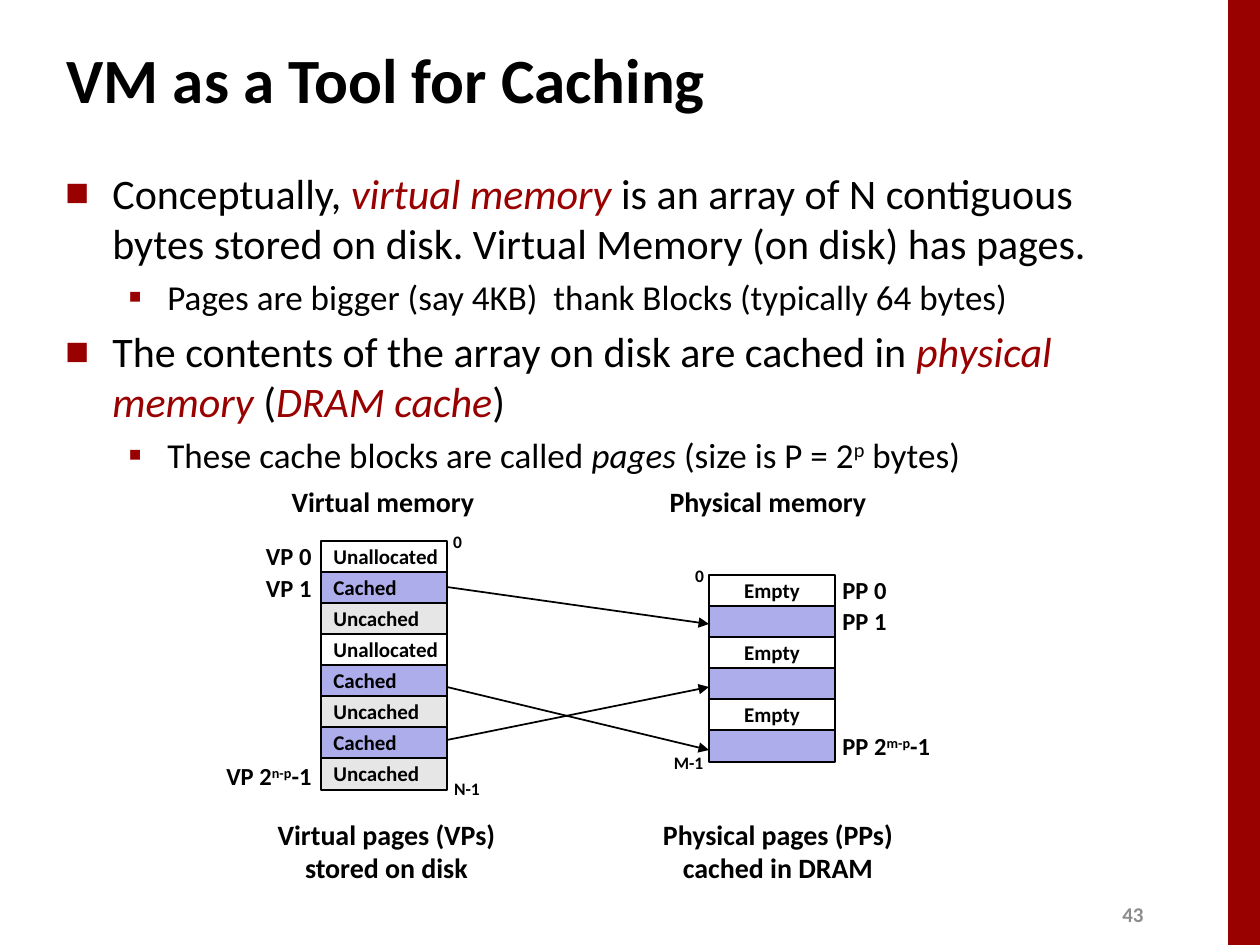
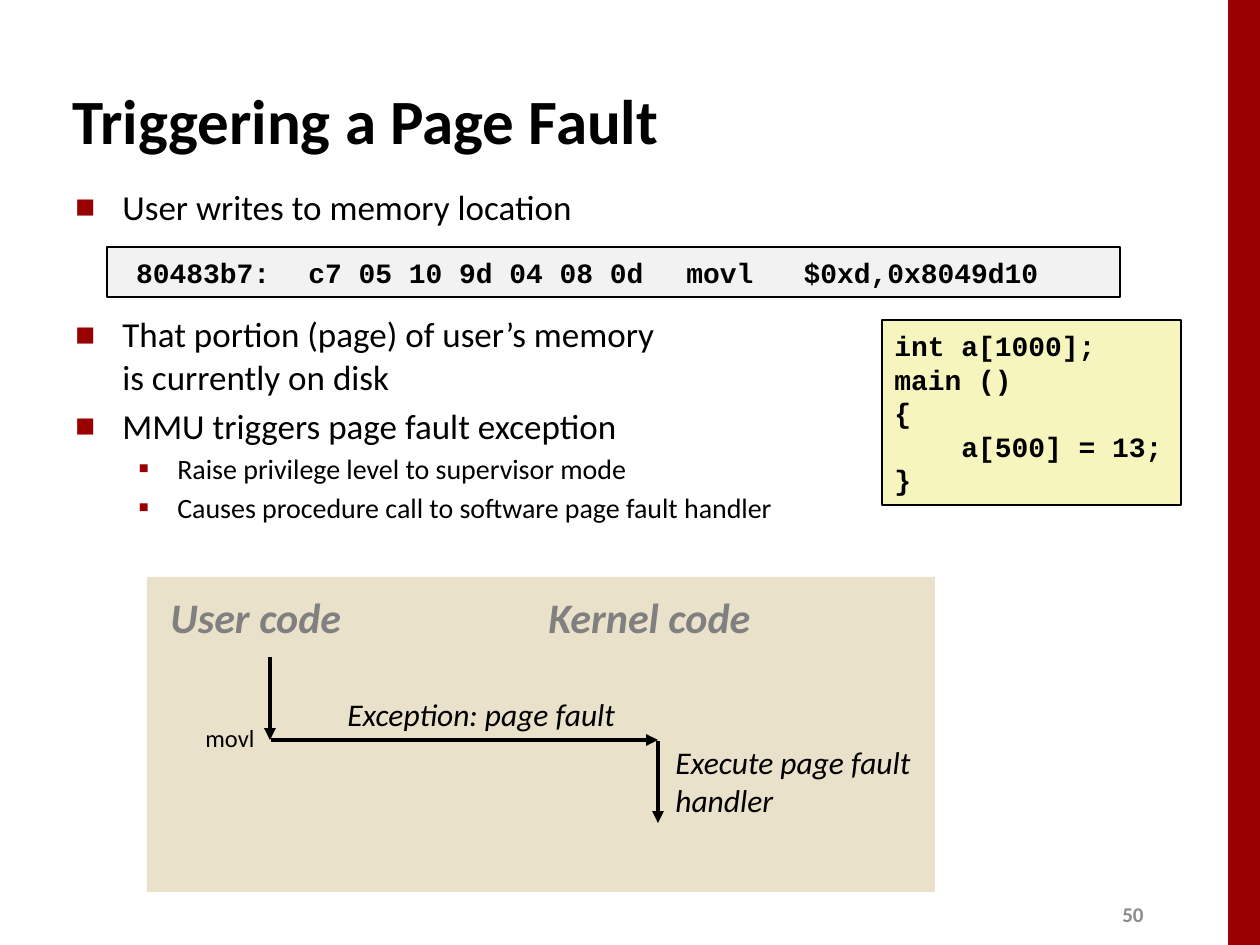
"""Build two lecture slides on virtual memory and page faults."""
from dataclasses import dataclass
from typing import NamedTuple

from lxml.etree import SubElement
from pptx import Presentation
from pptx.dml.color import RGBColor
from pptx.enum.shapes import MSO_CONNECTOR, MSO_SHAPE
from pptx.enum.text import MSO_ANCHOR, MSO_AUTO_SIZE, PP_ALIGN
from pptx.oxml.ns import qn
from pptx.util import Emu, Inches, Pt

SLIDE_W, SLIDE_H = 1260, 945
SCALE = Inches(10) / SLIDE_W
BODY_FONT, CODE_FONT = "Calibri", "Courier New"
COLORS = {
    "black": "000000", "white": "FFFFFF", "red": "990000", "number": "8C8C8C",
    "cached": "ADADEB", "uncached": "E6E6E6", "code": "F6F5BD",
    "assembly": "F2F2F2", "panel": "E9E1C9", "heading": "808080",
}
LEFT, CENTER, RIGHT = PP_ALIGN.LEFT, PP_ALIGN.CENTER, PP_ALIGN.RIGHT
TOP, MIDDLE = MSO_ANCHOR.TOP, MSO_ANCHOR.MIDDLE


class Style(NamedTuple):
    """Character formatting."""
    size: int
    bold: bool = False
    italic: bool = False
    color: str = "black"
    font: str = BODY_FONT


class Span(NamedTuple):
    """A piece of a paragraph that may differ from its base style."""
    text: str
    color: str = ""
    italic: bool = False
    superscript: bool = False


Text = str | tuple[Span, ...]


class BulletLevel(NamedTuple):
    """Look of one bullet level, with its indents in px."""
    char: str
    percent: int
    margin: int
    hang: int


LEVELS = (BulletLevel("■", 60, 47, 47), BulletLevel("▪", 110, 102, 39))


@dataclass(frozen=True)
class Bullet:
    """A bulleted paragraph; before is the space above it in points."""
    text: Text
    size: int
    level: int = 0
    before: float | None = None


@dataclass(frozen=True)
class Label:
    """A text box in px."""
    x: int
    y: int
    w: int
    h: int
    text: Text
    style: Style
    align: PP_ALIGN = LEFT
    anchor: MSO_ANCHOR = TOP
    spacing: float = 1.0
    wrap: bool = False


@dataclass(frozen=True)
class Box:
    """A filled rectangle in px; a line width of 0 means no outline."""
    x: int
    y: int
    w: int
    h: int
    fill: str
    line: float = 0
    text: str = ""
    style: Style = Style(12, bold=True)
    align: PP_ALIGN = LEFT
    spacing: float = 1.0


class Arrow(NamedTuple):
    """An arrow from one point to another in px."""
    x1: int
    y1: int
    x2: int
    y2: int
    width: float


def px(n: float) -> Emu:
    """Turn px into EMU."""
    return Emu(round(n * SCALE))


def rgb(name: str) -> RGBColor:
    """Look up a colour."""
    return RGBColor.from_string(COLORS[name])


def write(p, text: Text, style: Style) -> None:
    """Put text into a paragraph and format its runs."""
    spans = (Span(text),) if isinstance(text, str) else text
    if isinstance(text, str):
        p.text = text
    else:
        for span in spans:
            p.add_run().text = span.text
    for i, r in enumerate(p.runs):
        span = spans[min(i, len(spans) - 1)]
        r.font.name, r.font.size = style.font, Pt(style.size)
        r.font.bold, r.font.italic = style.bold, style.italic or span.italic
        r.font.color.rgb = rgb(span.color or style.color)
        if span.superscript:
            r._r.get_or_add_rPr().set("baseline", "30000")


def write_lines(tf, text: Text, style: Style, align: PP_ALIGN, spacing: float) -> None:
    """Fill a text frame, one paragraph per line."""
    lines = text.split("\n") if isinstance(text, str) else [text]
    for i, line in enumerate(lines):
        p = tf.add_paragraph() if i else tf.paragraphs[0]
        p.alignment, p.line_spacing = align, spacing
        write(p, line, style)


def add_label(s, label: Label) -> None:
    """Draw a text box."""
    tf = s.shapes.add_textbox(*map(px, (label.x, label.y, label.w, label.h))).text_frame
    tf.word_wrap, tf.vertical_anchor = label.wrap, label.anchor
    tf.auto_size = MSO_AUTO_SIZE.NONE if label.wrap else MSO_AUTO_SIZE.SHAPE_TO_FIT_TEXT
    write_lines(tf, label.text, label.style, label.align, label.spacing)


def add_box(s, box: Box) -> None:
    """Draw a rectangle with optional text."""
    sp = s.shapes.add_shape(MSO_SHAPE.RECTANGLE, *map(px, (box.x, box.y, box.w, box.h)))
    sp.shadow.inherit = False
    sp.fill.solid()
    sp.fill.fore_color.rgb = rgb(box.fill)
    if box.line:
        sp.line.color.rgb, sp.line.width = rgb("black"), Pt(box.line)
    else:
        sp.line.fill.background()
    if box.text:
        tf = sp.text_frame
        tf.word_wrap, tf.vertical_anchor = False, MIDDLE
        write_lines(tf, box.text, box.style, box.align, box.spacing)


def add_arrow(s, arrow: Arrow) -> None:
    """Draw a straight arrow."""
    c = s.shapes.add_connector(MSO_CONNECTOR.STRAIGHT, *map(px, arrow[:4]))
    c.line.color.rgb, c.line.width = rgb("black"), Pt(arrow.width)
    SubElement(c.line._get_or_add_ln(), qn("a:tailEnd"), type="triangle")
    SubElement(c._element.spPr, qn("a:effectLst"))


def set_bullet(p, level: BulletLevel) -> None:
    """Give a paragraph its bullet and hanging indent."""
    pPr = p._p.get_or_add_pPr()
    pPr.set("marL", str(px(level.margin)))
    pPr.set("indent", str(-px(level.hang)))
    SubElement(SubElement(pPr, qn("a:buClr")), qn("a:srgbClr"), val=COLORS["red"])
    SubElement(pPr, qn("a:buSzPct"), val=str(level.percent * 1000))
    SubElement(pPr, qn("a:buFont"), typeface=BODY_FONT)
    SubElement(pPr, qn("a:buChar"), char=level.char)


def add_bullets(s, x: int, y: int, w: int, h: int, bullets: list[Bullet]) -> None:
    """Draw the bulleted body text."""
    tf = s.shapes.add_textbox(*map(px, (x, y, w, h))).text_frame
    tf.word_wrap = True
    for i, b in enumerate(bullets):
        p = tf.add_paragraph() if i else tf.paragraphs[0]
        set_bullet(p, LEVELS[b.level])
        if i:
            p.space_before = Pt(b.size * 0.2 if b.before is None else b.before)
        write(p, b.text, Style(b.size))


def add_slide(prs, number: int, title: str, x: int, y: int, h: int):
    """Start a slide with the side band, page number and title."""
    s = prs.slides.add_slide(prs.slide_layouts[6])
    add_box(s, Box(1228, 0, 32, SLIDE_H, "red"))
    add_label(s, Label(1110, 895, 50, 38, str(number), Style(12, bold=True, color="number"),
                       anchor=MIDDLE))
    add_label(s, Label(x, y, 1087, h, title, Style(36, bold=True), anchor=MIDDLE, wrap=True))
    return s


def add_pages(s, x: int, y: int, pages: list[str], align: PP_ALIGN) -> None:
    """Draw a column of memory pages; an unnamed page holds cached data."""
    fills = {"": "cached", "Cached": "cached", "Uncached": "uncached"}
    for i, page in enumerate(pages):
        add_box(s, Box(x, y + 31 * i, 126, 32, fills.get(page, "white"), 1.5, page,
                       align=align, spacing=0.98))


def build_caching(prs) -> None:
    """Build the slide on virtual memory as a cache."""
    s = add_slide(prs, 43, "VM as a Tool for Caching", 54, 26, 105)
    add_bullets(s, 53, 161, 1089, 285, [
        Bullet((Span("Conceptually,"), Span(" virtual memory ", "red", True),
                Span("is an array of N contiguous bytes stored on disk. "
                     "Virtual Memory (on disk) has pages.")), 24),
        Bullet("Pages are bigger (say 4KB)  thank Blocks (typically 64 bytes)", 20, 1),
        Bullet((Span("The contents of the array on disk are cached in "),
                Span("physical memory", "red", True), Span(" ("),
                Span("DRAM cache", "red", True), Span(")")), 24),
        Bullet((Span("These cache blocks are called "), Span("pages ", italic=True),
                Span("(size is P = 2"), Span("p", superscript=True), Span(" bytes)")), 20, 1),
    ])
    add_pages(s, 321, 541, ["Unallocated", "Cached", "Uncached", "Unallocated",
                            "Cached", "Uncached", "Cached", "Uncached"], LEFT)
    add_pages(s, 709, 575, ["Empty", "", "Empty", "", "Empty", ""], CENTER)
    for y1, y2 in ((587, 624), (687, 750), (740, 687)):
        add_arrow(s, Arrow(447, y1, 709, y2, 1))

    heading, name, address = (Style(size, bold=True) for size in (16, 14, 10))
    last_vp = (Span("VP 2"), Span("n-p", superscript=True), Span("-1"))
    last_pp = (Span("PP 2"), Span("m-p", superscript=True), Span("-1"))
    for x, w, text in ((278, 210, "Virtual memory"), (656, 224, "Physical memory")):
        add_label(s, Label(x, 483, w, 42, text, heading, CENTER, spacing=0.88))
    for x, y, w, text in ((253, 539, 71, "VP 0"), (253, 571, 71, "VP 1"), (210, 759, 114, last_vp)):
        add_label(s, Label(x, y, w, 39, text, name, RIGHT, spacing=0.88))
    for y, w, text in ((571, 69, "PP 0"), (602, 69, "PP 1"), (727, 117, last_pp)):
        add_label(s, Label(830, y, w, 41, text, name, spacing=0.95))
    for x, y, w, text in ((440, 525, 35, "0"), (441, 772, 52, "N-1"),
                          (682, 559, 35, "0"), (661, 746, 55, "M-1")):
        add_label(s, Label(x, y, w, 34, text, address, CENTER, MIDDLE, 0.98))
    for x, w, text in ((263, 247, "Virtual pages (VPs)\nstored on disk"),
                       (649, 258, "Physical pages (PPs)\ncached in DRAM")):
        add_label(s, Label(x, 813, w, 79, text, heading, CENTER, MIDDLE, 0.98))


def build_page_fault(prs) -> None:
    """Build the slide on how a page fault is triggered."""
    s = add_slide(prs, 50, "Triggering a Page Fault", 60, 81, 77)
    add_bullets(s, 63, 179, 1124, 360, [
        Bullet("User writes to memory location", 20),
        Bullet("That portion (page) of user’s memory \vis currently on disk", 20, before=49),
        Bullet("MMU triggers page fault exception", 20),
        Bullet("Raise privilege level to supervisor mode", 16, 1),
        Bullet("Causes procedure call to software page fault handler", 16, 1),
    ])
    code = Style(16, bold=True, font=CODE_FONT)
    add_box(s, Box(882, 320, 299, 185, "code", 1,
                   "int a[1000];\nmain ()\n{\n    a[500] = 13;\n}", code))
    add_box(s, Box(107, 247, 1013, 50, "assembly", 1,
                   " 80483b7:\tc7 05 10 9d 04 08 0d \tmovl   $0xd,0x8049d10", code))

    add_box(s, Box(147, 577, 788, 315, "panel"))
    heading = Style(24, bold=True, italic=True, color="heading")
    event = Style(18, italic=True)
    for label in (
        Label(158, 585, 208, 63, "User code", heading),
        Label(536, 585, 241, 63, "Kernel code", heading),
        Label(335, 689, 305, 50, "Exception: page fault", event),
        Label(663, 737, 272, 88, "Execute page fault handler", event, wrap=True),
        Label(193, 717, 76, 43, "movl", Style(14)),
    ):
        add_label(s, label)
    for points in ((270, 657, 270, 740), (271, 740, 658, 740), (658, 741, 658, 823)):
        add_arrow(s, Arrow(*points, 2.25))


def main() -> None:
    """Build and save the presentation."""
    prs = Presentation()
    prs.slide_width, prs.slide_height = px(SLIDE_W), px(SLIDE_H)
    build_caching(prs)
    build_page_fault(prs)
    prs.save("out.pptx")


if __name__ == "__main__":
    main()
